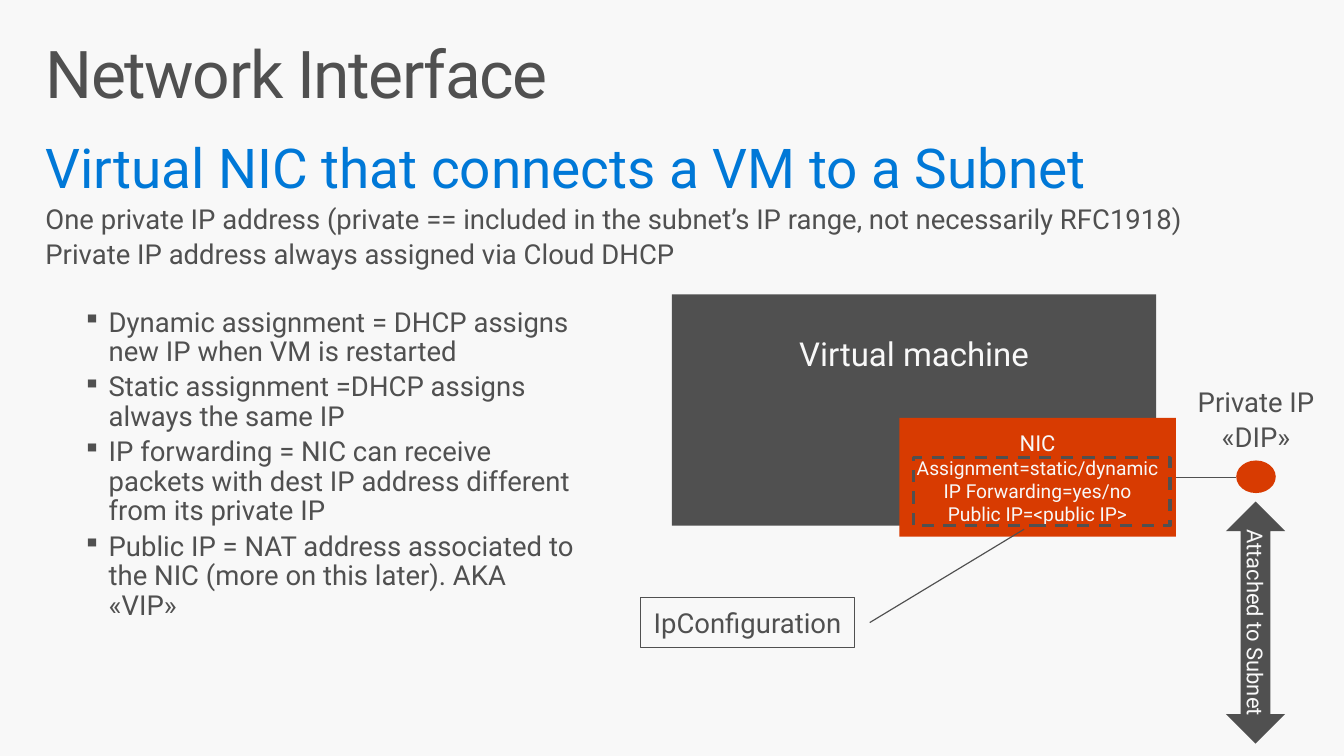
import dataclasses

import lxml.etree
import pptx
import pptx.dml.color
import pptx.enum.dml
import pptx.enum.shapes
import pptx.enum.text
import pptx.oxml.ns
import pptx.util

EMU_PER_PX = 9144
SHAPE = pptx.enum.shapes.MSO_SHAPE
ALIGN = pptx.enum.text.PP_ALIGN
ANCHOR = pptx.enum.text.MSO_ANCHOR


@dataclasses.dataclass(frozen=True)
class Theme:
    font: str = "Roboto"
    paper: str = "F8F8F8"
    ink: str = "505050"
    blue: str = "0078D7"
    orange: str = "D83B01"
    title: int = 48
    heading: int = 40
    machine: int = 24
    body: int = 20
    label: int = 16
    setting: int = 14


THEME = Theme()


def px(*lengths):
    return [pptx.util.Emu(length * EMU_PER_PX) for length in lengths]


def rgb(code):
    return pptx.dml.color.RGBColor.from_string(code)


def set_format(target, values):
    for name, value in values.items():
        setattr(target, name, value)


def set_frame(frame, anchor, side, top, bottom):
    left, above, right, below = px(side, top, side, bottom)
    set_format(frame, {
        "word_wrap": True,
        "auto_size": pptx.enum.text.MSO_AUTO_SIZE.NONE,
        "vertical_anchor": anchor,
        "margin_left": left,
        "margin_top": above,
        "margin_right": right,
        "margin_bottom": below,
    })


def add_bullet(paragraph):
    properties = paragraph._p.get_or_add_pPr()
    hanging, indent = px(64, -26)
    properties.set("marL", str(hanging))
    properties.set("indent", str(indent))
    for tag, name, value in (("a:buSzPct", "val", "90000"), ("a:buChar", "char", "▪")):
        bullet_part = lxml.etree.SubElement(properties, pptx.oxml.ns.qn(tag))
        bullet_part.set(name, value)


def write(frame, lines, color, align=ALIGN.LEFT, spacing=1.0, gap=0, bulleted=False):
    """Write (text, size, color override) lines; gap is a share of the type size."""
    for index, (text, size, *override) in enumerate(lines):
        paragraph = frame.add_paragraph() if index else frame.paragraphs[0]
        set_format(paragraph, {
            "alignment": align,
            "line_spacing": spacing,
            "space_before": pptx.util.Pt(round(size * gap) if index else 0),
        })
        if bulleted:
            add_bullet(paragraph)
        run = paragraph.add_run()
        run.text = text
        set_format(run.font, {"name": THEME.font, "size": pptx.util.Pt(size)})
        run.font.color.rgb = rgb(override[0] if override else color)


def add_title(slide, text):
    title = slide.shapes.title
    set_format(title, dict(zip(("left", "top", "width", "height"), px(30, 32, 1300, 100))))
    set_frame(title.text_frame, ANCHOR.TOP, 16, 10, 10)
    write(title.text_frame, [(text, THEME.title)], THEME.ink, spacing=0.9)
    title.text_frame.paragraphs[0].runs[0].font._element.set("spc", "-100")


def add_text(slide, box, lines, **layout):
    frame = slide.shapes.add_textbox(*px(*box)).text_frame
    set_frame(frame, ANCHOR.TOP, 16, 10, 10)
    write(frame, lines, THEME.ink, spacing=0.9, gap=0.2, **layout)


def add_block(slide, kind, box, lines=(), fill=None, outline=None,
              anchor=ANCHOR.MIDDLE, top=5):
    """Add a preset shape; outline is a width in points, and None leaves it off."""
    block = slide.shapes.add_shape(kind, *px(*box))
    block.shadow.inherit = False
    if fill:
        block.fill.solid()
        block.fill.fore_color.rgb = rgb(fill)
    else:
        block.fill.background()
    if outline:
        block.line.color.rgb = rgb(THEME.ink)
        block.line.width = pptx.util.Pt(outline)
    else:
        block.line.fill.background()
    set_frame(block.text_frame, anchor, 0, top, 5)
    write(block.text_frame, lines, THEME.paper if fill else THEME.ink, ALIGN.CENTER)
    return block


def add_nic_link(slide, nic, start, end):
    link = slide.shapes.add_connector(
        pptx.enum.shapes.MSO_CONNECTOR.STRAIGHT, *px(*start, *end))
    link.begin_connect(nic, 3)
    link.line.color.rgb = rgb(THEME.ink)
    link.line.width = pptx.util.Pt(0.75)
    lxml.etree.SubElement(link._element.spPr, pptx.oxml.ns.qn("a:effectLst"))


def add_diagram(slide):
    add_block(slide, SHAPE.RECTANGLE, (680, 298, 490, 234),
              [("Virtual machine", THEME.machine)], THEME.ink, anchor=ANCHOR.TOP, top=40)
    settings = ("Assignment=static/dynamic", "IP Forwarding=yes/no", "Public IP=<public IP>")
    nic = add_block(slide, SHAPE.RECTANGLE, (910, 423, 280, 120),
                    [("NIC", THEME.label)] + [(text, THEME.setting) for text in settings],
                    THEME.orange)
    add_block(slide, SHAPE.OVAL, (1251, 466, 40, 33), fill=THEME.orange)
    add_nic_link(slide, nic, (1190, 483), (1251, 483))

    subnet_arrow = add_block(slide, SHAPE.LEFT_RIGHT_ARROW, (1148, 600, 245, 60),
                             [("Attached to Subnet", THEME.label)], THEME.ink)
    subnet_arrow.rotation = 90

    settings_frame = add_block(slide, SHAPE.RECTANGLE, (924, 463, 260, 69), outline=2.25)
    settings_frame.line.dash_style = pptx.enum.dml.MSO_LINE.DASH

    ip_configuration = add_block(slide, SHAPE.LINE_CALLOUT_1, (648, 605, 217, 50),
                                 [("IpConfiguration", THEME.body)], outline=0.85)
    for index, share in enumerate((0.5, 1.07, -1.39, 1.79)):
        ip_configuration.adjustments[index] = share

    add_text(slide, (1194, 383, 154, 88),
             [("Private IP", THEME.body), ("«DIP»", THEME.body)], align=ALIGN.CENTER)


def main():
    deck = pptx.Presentation()
    deck.slide_width, deck.slide_height = px(1360, 765)
    slide = deck.slides.add_slide(deck.slide_layouts[5])
    slide.background.fill.solid()
    slide.background.fill.fore_color.rgb = rgb(THEME.paper)

    add_title(slide, "Network Interface")
    add_text(slide, (30, 133, 1300, 155), [
        ("Virtual NIC that connects a VM to a Subnet", THEME.heading, THEME.blue),
        ("One private IP address (private == included in the subnet’s IP range, "
         "not necessarily RFC1918)", THEME.body),
        ("Private IP address always assigned via Cloud DHCP", THEME.body),
    ])
    options = (
        "Dynamic assignment = DHCP assigns new IP when VM is restarted",
        "Static assignment =DHCP assigns always the same IP",
        "IP forwarding = NIC can receive packets with dest IP address different "
        "from its private IP",
        "Public IP = NAT address associated to the NIC (more on this later). AKA «VIP»",
    )
    add_text(slide, (30, 302, 574, 313),
             [(text, THEME.body) for text in options], bulleted=True)
    add_diagram(slide)
    deck.save("out.pptx")


if __name__ == "__main__":
    main()
